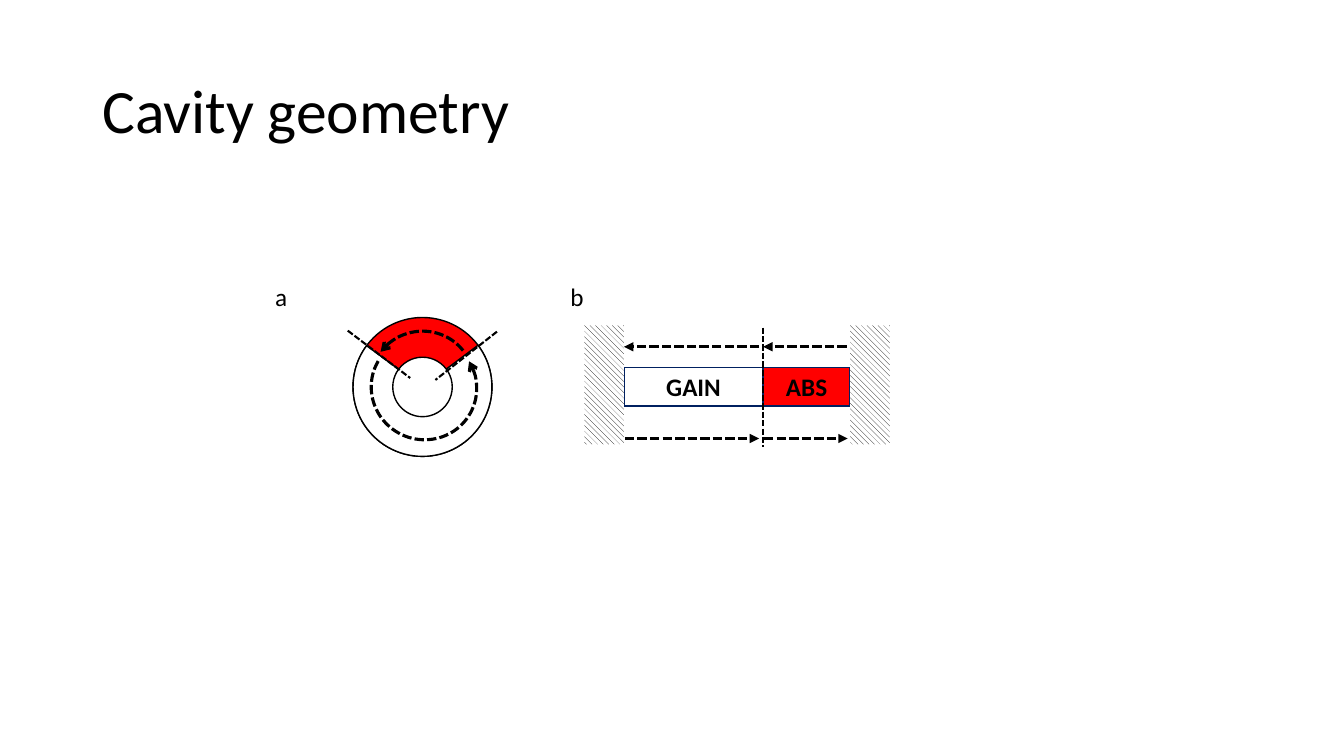
from dataclasses import dataclass

from lxml.etree import SubElement
from pptx import Presentation
from pptx.dml.color import RGBColor
from pptx.enum.dml import MSO_LINE, MSO_PATTERN_TYPE as Pattern
from pptx.enum.shapes import MSO_CONNECTOR, MSO_SHAPE as Preset
from pptx.enum.text import MSO_ANCHOR, MSO_AUTO_SIZE, PP_ALIGN
from pptx.oxml.ns import qn
from pptx.util import Pt


@dataclass(frozen=True)
class Theme:
    font: str = "Calibri"
    black: RGBColor = RGBColor(0, 0, 0)
    white: RGBColor = RGBColor(255, 255, 255)
    red: RGBColor = RGBColor(255, 0, 0)
    navy: RGBColor = RGBColor(0, 0x20, 0x60)
    title_size: float = 44
    label_size: float = 18
    outline: float = 1
    divider: float = 1.5
    beam: float = 2.25


THEME = Theme()


# Text
def add_run(para, text, size, bold=False):
    span = para.add_run()
    span.text = text
    span.font.name = THEME.font
    span.font.size = Pt(size)
    span.font.bold = bold
    span.font.color.rgb = THEME.black


def add_title(page, text):
    box = page.shapes.add_textbox(Pt(66), Pt(28.8), Pt(828), Pt(104.4))
    frame = box.text_frame
    frame.word_wrap = True
    frame.vertical_anchor = MSO_ANCHOR.MIDDLE
    frame.paragraphs[0].line_spacing = 0.9
    add_run(frame.paragraphs[0], text, THEME.title_size)


def add_label(group, text, left):
    box = group.shapes.add_textbox(Pt(left), Pt(197.3), Pt(24.5), Pt(29))
    frame = box.text_frame
    frame.word_wrap = False
    frame.auto_size = MSO_AUTO_SIZE.SHAPE_TO_FIT_TEXT
    add_run(frame.paragraphs[0], text, THEME.label_size)


# Shapes
def add_preset(group, preset, left, top, width, height, fill=None, line=None):
    shape = group.shapes.add_shape(preset, Pt(left), Pt(top), Pt(width), Pt(height))
    shape.shadow.inherit = False
    if fill is None:
        shape.fill.background()
    else:
        shape.fill.solid()
        shape.fill.fore_color.rgb = fill
    if line is None:
        shape.line.fill.background()
    else:
        shape.line.color.rgb = line
        shape.line.width = Pt(THEME.outline)
    return shape


def add_medium(group, text, left, right, fill=None):
    shape = add_preset(group, Preset.RECTANGLE, left, 262.6, right - left, 27.4,
                       fill, THEME.navy)
    frame = shape.text_frame
    frame.vertical_anchor = MSO_ANCHOR.MIDDLE
    frame.paragraphs[0].alignment = PP_ALIGN.CENTER
    add_run(frame.paragraphs[0], text, THEME.label_size, bold=True)


def add_mirror(group, left):
    mirror = add_preset(group, Preset.RECTANGLE, left, 232.4, 28.3, 85)
    mirror.fill.patterned()
    mirror.fill.pattern = Pattern.WIDE_DOWNWARD_DIAGONAL
    mirror.fill.fore_color.rgb = THEME.black
    mirror.fill.back_color.rgb = THEME.white


def set_angles(shape, start, end):
    """Angles are in degrees, clockwise from three o'clock."""
    shape.adjustments[0] = start * 0.6
    shape.adjustments[1] = end * 0.6


def add_disc(group, preset, diameter, fill):
    left, top = 301.8 - diameter / 2, 276.4 - diameter / 2
    return add_preset(group, preset, left, top, diameter, diameter, fill, THEME.black)


# Dashed lines and arrows
def dash(line, width):
    line.color.rgb = THEME.black
    line.width = Pt(width)
    line.dash_style = MSO_LINE.SQUARE_DOT


def add_arrowhead(shape, end, kind):
    SubElement(shape.line._get_or_add_ln(), qn(f"a:{end}"), type=kind)


def add_dashed(group, x1, y1, x2, y2, width=THEME.divider):
    link = group.shapes.add_connector(MSO_CONNECTOR.STRAIGHT,
                                      Pt(x1), Pt(y1), Pt(x2), Pt(y2))
    dash(link.line, width)
    SubElement(link._element.spPr, qn("a:effectLst"))
    return link


def add_beam(group, start, end, y):
    beam = add_dashed(group, start, y, end, y, THEME.beam)
    add_arrowhead(beam, "tailEnd", "triangle")


def add_curved_beam(group, left, top, rotation, start, end):
    arc = add_preset(group, Preset.ARC, left, top, 75.6, 74.2, line=THEME.black)
    set_angles(arc, start, end)
    arc.rotation = rotation
    dash(arc.line, THEME.beam)
    add_arrowhead(arc, "headEnd", "arrow")


# Panels
def add_linear_cavity(page):
    group = page.shapes.add_group_shape()
    add_medium(group, "ABS", 545.1, 607.3, THEME.red)
    add_medium(group, "GAIN", 445.7, 545.1)
    for left in (607.3, 417.4):
        add_mirror(group, left)
    add_dashed(group, 545.1, 234, 545.1, 319)
    for start, end, y in ((446.4, 542.2, 313.2), (545.8, 605.5, 313.2),
                          (604.8, 545.1, 247.7), (542.2, 445.7, 247.7)):
        add_beam(group, start, end, y)
    add_label(group, "b", 400.3)


def add_ring_cavity(page):
    group = page.shapes.add_group_shape()
    add_disc(group, Preset.OVAL, 99.2, THEME.red)
    gain = add_disc(group, Preset.PIE, 99.2, THEME.white)
    set_angles(gain, 323.15, 216.45)
    add_disc(group, Preset.OVAL, 42.5, THEME.white)
    add_curved_beam(group, 265, 239.8, 205, 124.72, 5.66)
    add_curved_beam(group, 263.5, 236.9, 316.6, 261.08, 5.66)
    add_dashed(group, 248.4, 236.2, 293, 270)
    add_label(group, "a", 189.4)
    add_dashed(group, 355, 236.9, 311, 271.4)


def main():
    deck = Presentation()
    deck.slide_width, deck.slide_height = Pt(960), Pt(540)
    page = deck.slides.add_slide(deck.slide_layouts[6])
    add_title(page, "Cavity geometry")
    add_linear_cavity(page)
    add_ring_cavity(page)
    deck.save("out.pptx")


if __name__ == "__main__":
    main()
